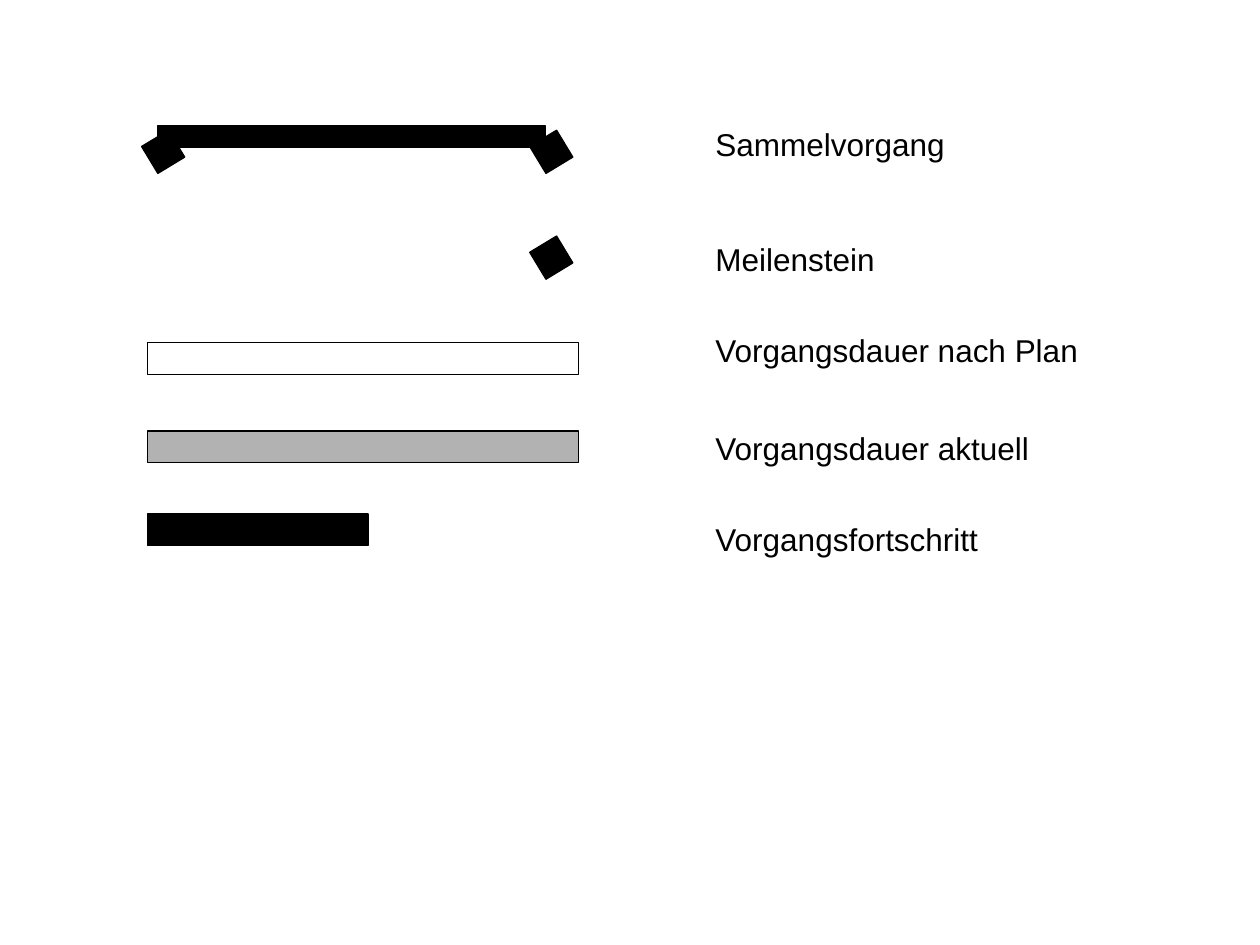
import pptx
import pptx.dml.color
import pptx.enum.shapes
import pptx.enum.text
import pptx.util
from pptx.util import Inches

THEME = {
    "ink": "000000",
    "grey": "B2B2B2",
    "font": "Arial",
    "label_size": 18,
    "outline": 0.75,
}

BAR_LEFT = 1.17
BAR_LENGTH = 3.42
MARK_SIZE = 0.25
MARK_ANGLE = 58.8
MILESTONE_LEFT = 4.25
LABEL_LEFT = 5.58
LABEL_HEIGHT = 0.4

LEGEND = [
    {"label": "Sammelvorgang", "top": 0.94, "width": 2.03,
     "bars": [(1.25, 1, 3.08, 0.17, "ink")],
     "diamonds": [(BAR_LEFT, 1.08), (MILESTONE_LEFT, 1.08)]},
    {"label": "Meilenstein", "top": 1.86, "width": 1.48,
     "diamonds": [(MILESTONE_LEFT, 1.92)]},
    {"label": "Vorgangsdauer nach Plan", "top": 2.58, "width": 3.1,
     "bars": [(BAR_LEFT, 2.72, BAR_LENGTH, MARK_SIZE, None)]},
    {"label": "Vorgangsdauer aktuell", "top": 3.36, "width": 2.71,
     "bars": [(BAR_LEFT, 3.42, BAR_LENGTH, MARK_SIZE, "grey")]},
    {"label": "Vorgangsfortschritt", "top": 4.08, "width": 2.31,
     "bars": [(BAR_LEFT, 4.08, 1.75, MARK_SIZE, "ink")]},
]


def color(key):
    return pptx.dml.color.RGBColor.from_string(THEME[key])


def add_bar(slide, left, top, width, height, fill, angle=0):
    bar = slide.shapes.add_shape(
        pptx.enum.shapes.MSO_SHAPE.RECTANGLE,
        Inches(left), Inches(top), Inches(width), Inches(height))
    bar.shadow.inherit = False
    bar.rotation = angle
    if fill:
        bar.fill.solid()
        bar.fill.fore_color.rgb = color(fill)
    else:
        bar.fill.background()
    bar.line.color.rgb = color("ink")
    bar.line.width = pptx.util.Pt(THEME["outline"])


def add_label(slide, label, top, width):
    caption = slide.shapes.add_textbox(
        Inches(LABEL_LEFT), Inches(top), Inches(width), Inches(LABEL_HEIGHT))
    frame = caption.text_frame
    frame.word_wrap = False
    frame.auto_size = pptx.enum.text.MSO_AUTO_SIZE.SHAPE_TO_FIT_TEXT
    wording = frame.paragraphs[0].add_run()
    wording.text = label
    wording.font.name = THEME["font"]
    wording.font.size = pptx.util.Pt(THEME["label_size"])
    wording.font.color.rgb = color("ink")


def main():
    deck = pptx.Presentation()
    deck.slide_width = Inches(10)
    deck.slide_height = Inches(7.5)
    slide = deck.slides.add_slide(deck.slide_layouts[6])
    for entry in LEGEND:
        for bar in entry.get("bars", []):
            add_bar(slide, *bar)
        for left, top in entry.get("diamonds", []):
            add_bar(slide, left, top, MARK_SIZE, MARK_SIZE, "ink", MARK_ANGLE)
        add_label(slide, entry["label"], entry["top"], entry["width"])
    deck.save("out.pptx")


if __name__ == "__main__":
    main()
